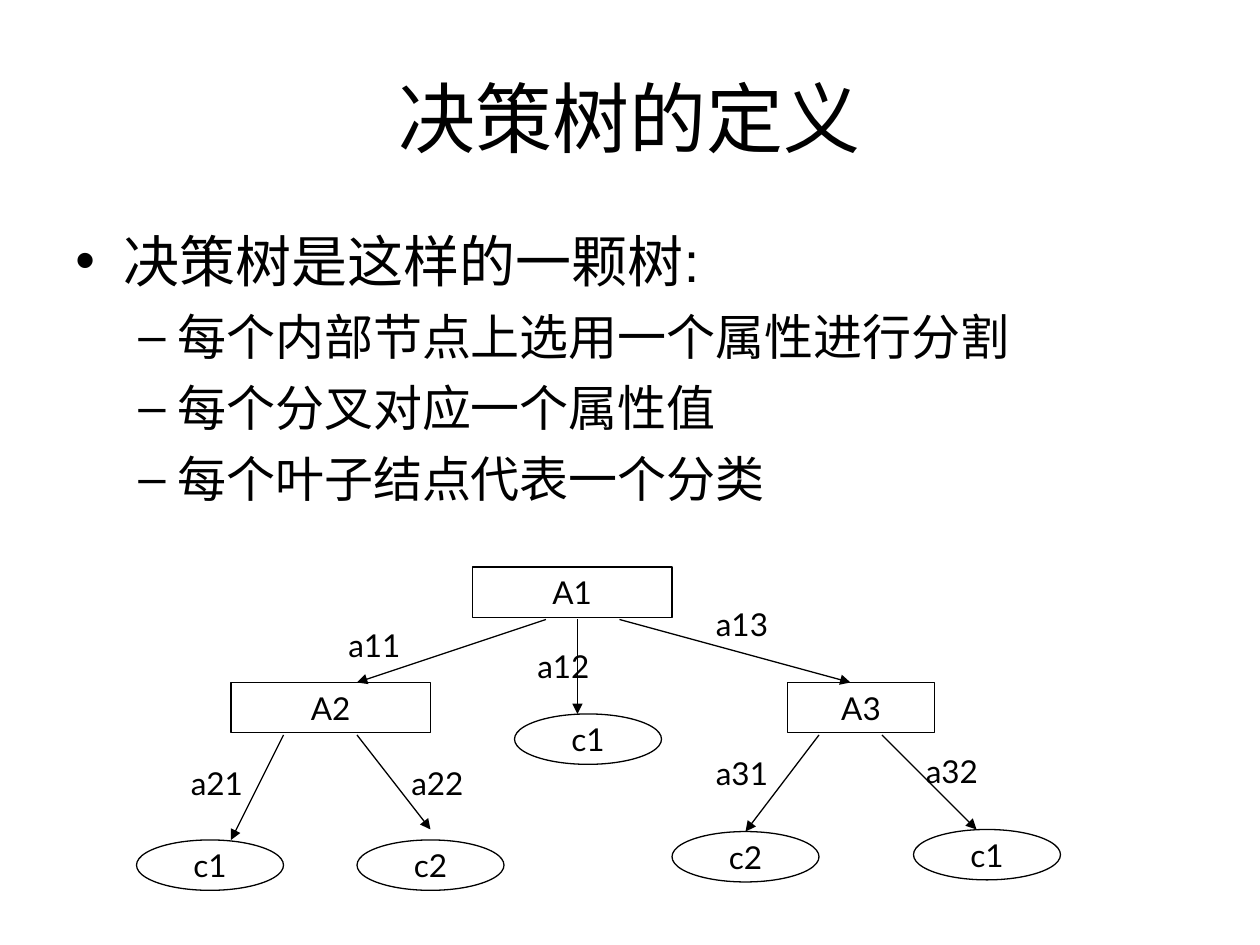
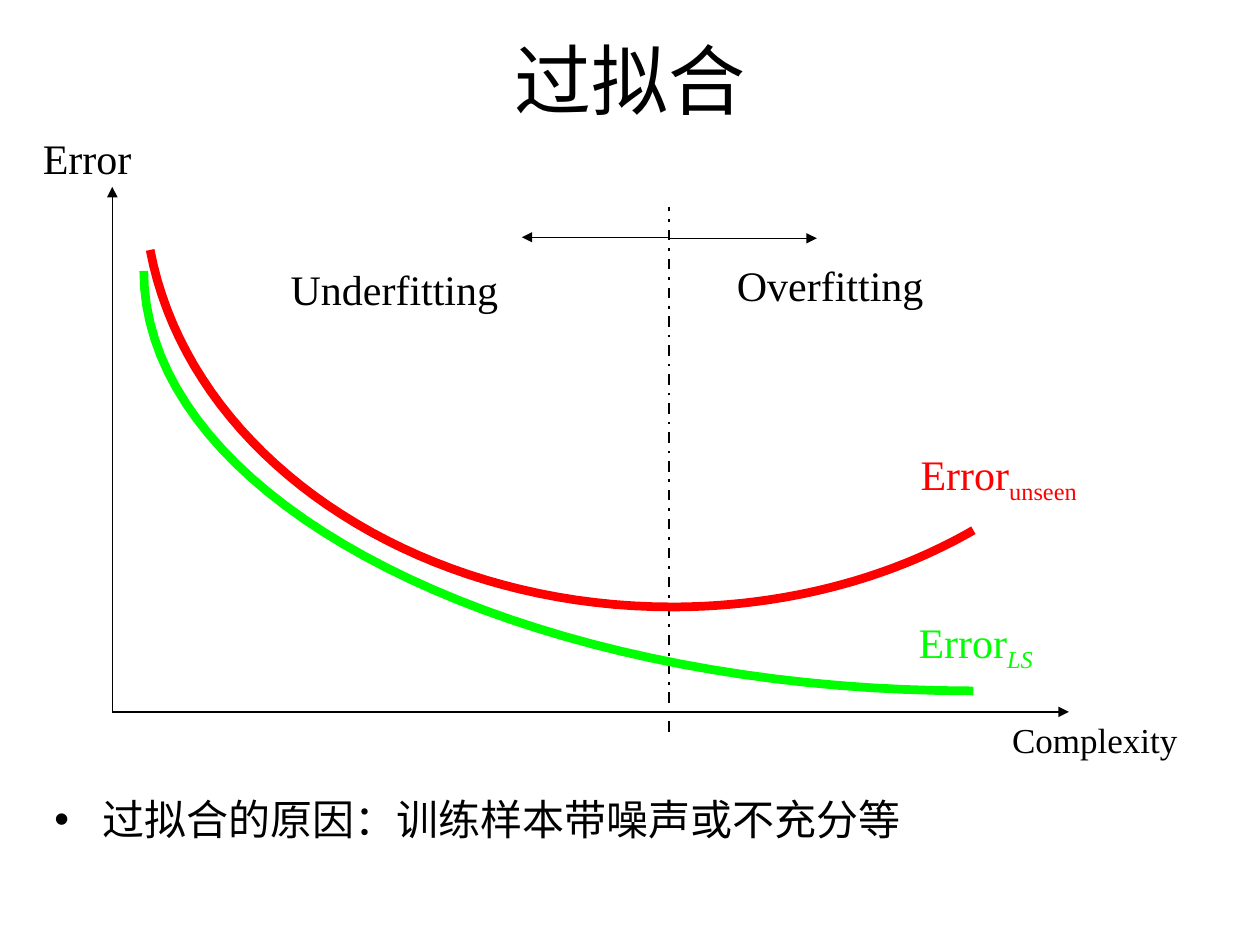
from pptx import Presentation
from pptx.dml.color import RGBColor
from pptx.enum.dml import MSO_LINE
from pptx.enum.shapes import MSO_CONNECTOR, MSO_SHAPE
from pptx.enum.text import MSO_ANCHOR, PP_ALIGN
from pptx.oxml.ns import qn
from pptx.util import Inches, Pt
from lxml.etree import SubElement

COLUMNS, ROWS = 120, 90
CELL = Inches(10) // COLUMNS
COLORS = {"ink": "000000", "unseen": "FF0000", "training": "00FF00"}
FONTS = {"heading": "Arial", "tree": "Lato", "plot": "Times New Roman"}
MARGINS = ("margin_left", "margin_right", "margin_top", "margin_bottom")
LEVELS = [
    {"bullet": "•", "indent": 0.38, "hanging": 0.38},
    {"bullet": "–", "indent": 0.81, "hanging": 0.31},
]

DEFINITION = {
    "title": ("决策树的定义", (6, 3.6, 108, 15)),
    "body": (6, 21, 108, 59.4),
    "points": [
        (0, "决策树是这样的一颗树:", 32, 8),
        (1, "每个内部节点上选用一个属性进行分割", 28, 7),
        (1, "每个分叉对应一个属性值", 28, 7),
        (1, "每个叶子结点代表一个分类", 28, 7),
    ],
}
OVERFITTING = {
    "title": ("过拟合", (4, 0, 112, 15)),
    "body": (4, 75, 112, 11.5),
    "points": [(0, "过拟合的原因：训练样本带噪声或不充分等", 24, 6)],
}

NODE_HEIGHT = 4.8
ATTRIBUTES = [("A1", 45, 54, 19), ("A2", 22, 65, 19), ("A3", 75, 65, 14)]
CLASSES = [
    ("c1", 13, 80, 14), ("c2", 34, 80, 14), ("c1", 49, 68, 14),
    ("c2", 64, 79.2, 14), ("c1", 87, 79, 14),
]
BRANCHES = [
    ("a11", (32, 59), (52, 59), (34, 65)),
    ("a12", (50, 61), (55, 59), (55, 68)),
    ("a13", (67, 57), (59, 59), (81, 65)),
    ("a21", (17, 72.2), (27, 70), (22, 80)),
    ("a22", (38, 72.2), (34, 70), (41, 79)),
    ("a31", (67, 71.2), (78, 70), (71, 79.2)),
    ("a32", (87, 71), (84, 70), (93, 79)),
]

ORIGIN = (10.7, 67.8)
OPTIMUM = 63.7
ARROWS = [
    (ORIGIN, (10.7, 17.8)), (ORIGIN, (101.8, 67.8)),
    ((OPTIMUM, 22.7), (77.8, 22.7)), ((OPTIMUM, 22.6), (49.7, 22.6)),
]
PLOT_LABELS = [
    ("Error", "", (2.9, 12, 12, 6), 24, "ink"),
    ("Overfitting", "", (69, 24.1, 33.2, 6), 24, "ink"),
    ("Underfitting", "", (26.5, 24.5, 34.6, 6), 24, "ink"),
    ("Complexity", "", (95.2, 67.8, 20, 5.3), 20, "ink"),
    ("Error", "LS", (86.3, 58.1, 15, 6.7), 24, "training"),
    ("Error", "unseen", (86.5, 42.1, 19, 6.7), 24, "unseen"),
]
CURVES = {
    "training": [(92.7, 65.8), (49.1, 65.8), (13.7, 47.9), (13.7, 25.8)],
    "unseen": [
        (92.7, 50.5), (84.4, 55.3), (74.3, 57.8), (64, 57.8),
        (39.1, 57.8), (18, 43.3), (14.3, 23.8),
    ],
}
CURVE_STEPS = 40


def cells(*lengths):
    return [round(length * CELL) for length in lengths]


def apply(target, values):
    for name, value in values.items():
        setattr(target, name, value)


def write(paragraph, text, size, font, color="ink"):
    run = paragraph.add_run()
    run.text = text
    apply(run.font, {"size": Pt(size), "name": FONTS[font]})
    run.font.color.rgb = RGBColor.from_string(COLORS[color])
    return run


def stroke(line, width=0.75, color="ink"):
    line.width = Pt(width)
    line.color.rgb = RGBColor.from_string(COLORS[color])


def add_text(slide, box):
    frame = slide.shapes.add_textbox(*cells(*box)).text_frame
    frame.word_wrap = True
    return frame


def add_heading(slide, content):
    text, box = content["title"]
    frame = add_text(slide, box)
    frame.vertical_anchor = MSO_ANCHOR.MIDDLE
    frame.paragraphs[0].alignment = PP_ALIGN.CENTER
    write(frame.paragraphs[0], text, 44, "heading")
    frame = add_text(slide, content["body"])
    for index, (level, point, size, gap) in enumerate(content["points"]):
        paragraph = frame.add_paragraph() if index else frame.paragraphs[0]
        apply(paragraph, {"level": level, "space_before": Pt(gap)})
        style = LEVELS[level]
        properties = paragraph._p.get_or_add_pPr()
        properties.set("marL", str(Inches(style["indent"])))
        properties.set("indent", str(-Inches(style["hanging"])))
        SubElement(properties, qn("a:buFont")).set("typeface", FONTS["heading"])
        SubElement(properties, qn("a:buChar")).set("char", style["bullet"])
        write(paragraph, point, size, "heading")


def add_line(slide, start, end, width=0.75, arrow=True):
    connector = slide.shapes.add_connector(
        MSO_CONNECTOR.STRAIGHT, *cells(*start, *end))
    stroke(connector.line, width)
    if arrow:
        SubElement(connector.line._get_or_add_ln(), qn("a:tailEnd")).set("type", "triangle")
    SubElement(connector._element.spPr, qn("a:effectLst"))
    return connector


def add_node(slide, outline, label, left, top, width):
    node = slide.shapes.add_shape(outline, *cells(left, top, width, NODE_HEIGHT))
    node.shadow.inherit = False
    node.fill.background()
    stroke(node.line)
    frame = node.text_frame
    apply(frame, dict.fromkeys(MARGINS, 0))
    apply(frame, {"word_wrap": False, "vertical_anchor": MSO_ANCHOR.MIDDLE})
    frame.paragraphs[0].alignment = PP_ALIGN.CENTER
    write(frame.paragraphs[0], label, 18, "tree")
    return node


def add_tree(slide):
    for attribute in ATTRIBUTES:
        add_node(slide, MSO_SHAPE.RECTANGLE, *attribute)
    leaves = {(left + width / 2, top): add_node(slide, MSO_SHAPE.OVAL, label, left, top, width)
              for label, left, top, width in CLASSES}
    for value, corner, start, end in BRANCHES:
        branch = add_line(slide, start, end)
        if end in leaves:
            branch.end_connect(leaves[end], 0)
        frame = add_text(slide, (*corner, 12, NODE_HEIGHT))
        write(frame.paragraphs[0], value, 18, "tree")


def bezier(controls, t):
    weights = ((1 - t) ** 3, 3 * t * (1 - t) ** 2, 3 * t ** 2 * (1 - t), t ** 3)
    return cells(*(sum(w * p for w, p in zip(weights, axis)) for axis in zip(*controls)))


def add_curve(slide, color, controls):
    points = [bezier(controls[first:first + 4], step / CURVE_STEPS)
              for first in range(0, len(controls) - 1, 3)
              for step in range(1, CURVE_STEPS + 1)]
    builder = slide.shapes.build_freeform(*cells(*controls[0]))
    builder.add_line_segments(points, close=False)
    curve = builder.convert_to_shape()
    curve.shadow.inherit = False
    curve.fill.background()
    stroke(curve.line, 5, color)


def add_plot(slide):
    for start, end in ARROWS:
        add_line(slide, start, end)
    divider = add_line(slide, (OPTIMUM, 69.7), (OPTIMUM, 19.7), 1.5, arrow=False)
    divider.line.dash_style = MSO_LINE.DASH_DOT
    for text, subscript, box, size, color in PLOT_LABELS:
        paragraph = add_text(slide, box).paragraphs[0]
        write(paragraph, text, size, "plot", color)
        if subscript:
            run = write(paragraph, subscript, size, "plot", color)
            run.font.italic = subscript == "LS"
            run._r.get_or_add_rPr().set("baseline", "-25000")
    for color, controls in CURVES.items():
        add_curve(slide, color, controls)


def main():
    """Build the decision tree and overfitting slides."""
    deck = Presentation()
    apply(deck, {"slide_width": COLUMNS * CELL, "slide_height": ROWS * CELL})
    for content, add_figure in ((DEFINITION, add_tree), (OVERFITTING, add_plot)):
        slide = deck.slides.add_slide(deck.slide_layouts[6])
        add_heading(slide, content)
        add_figure(slide)
    deck.save("out.pptx")


if __name__ == "__main__":
    main()
